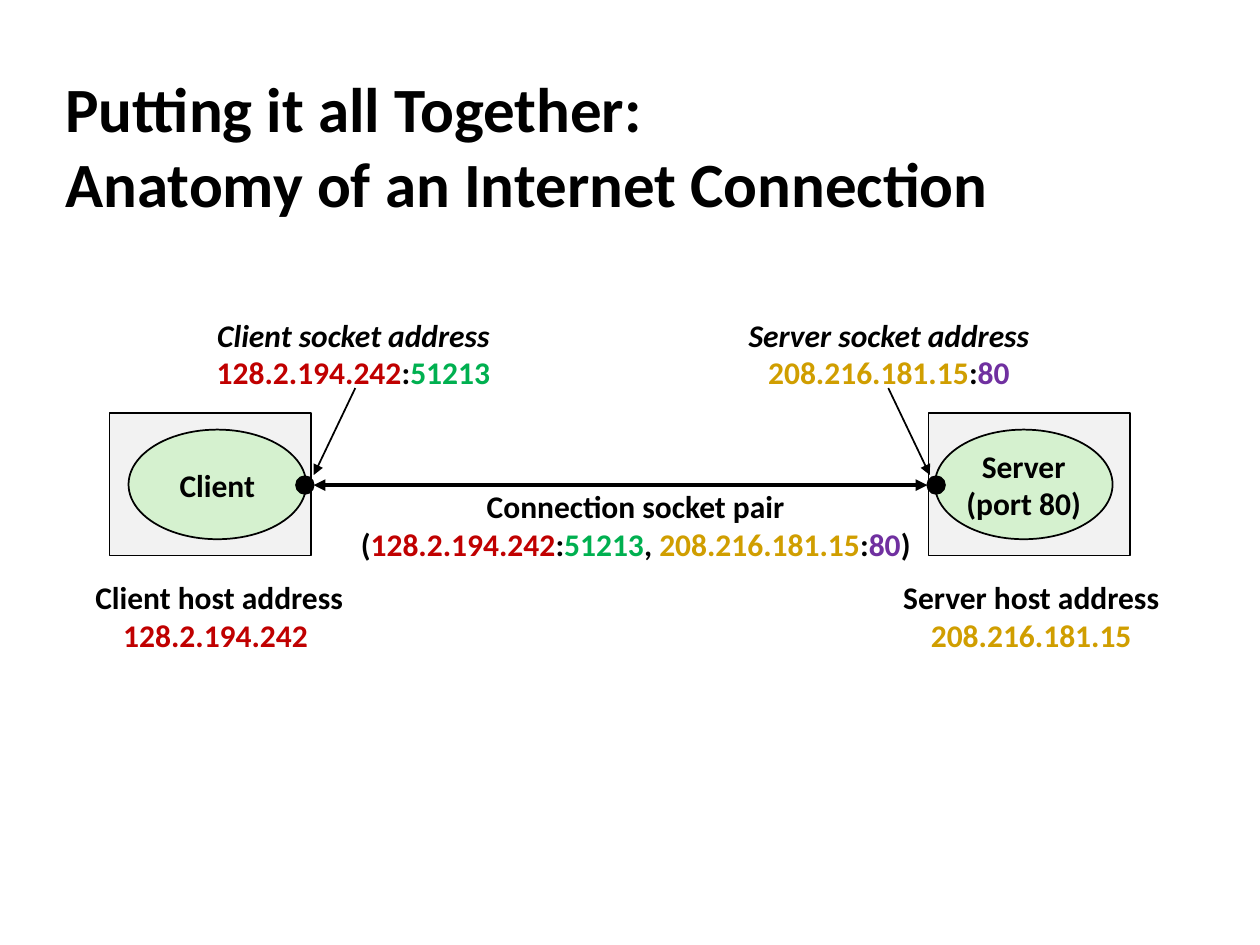
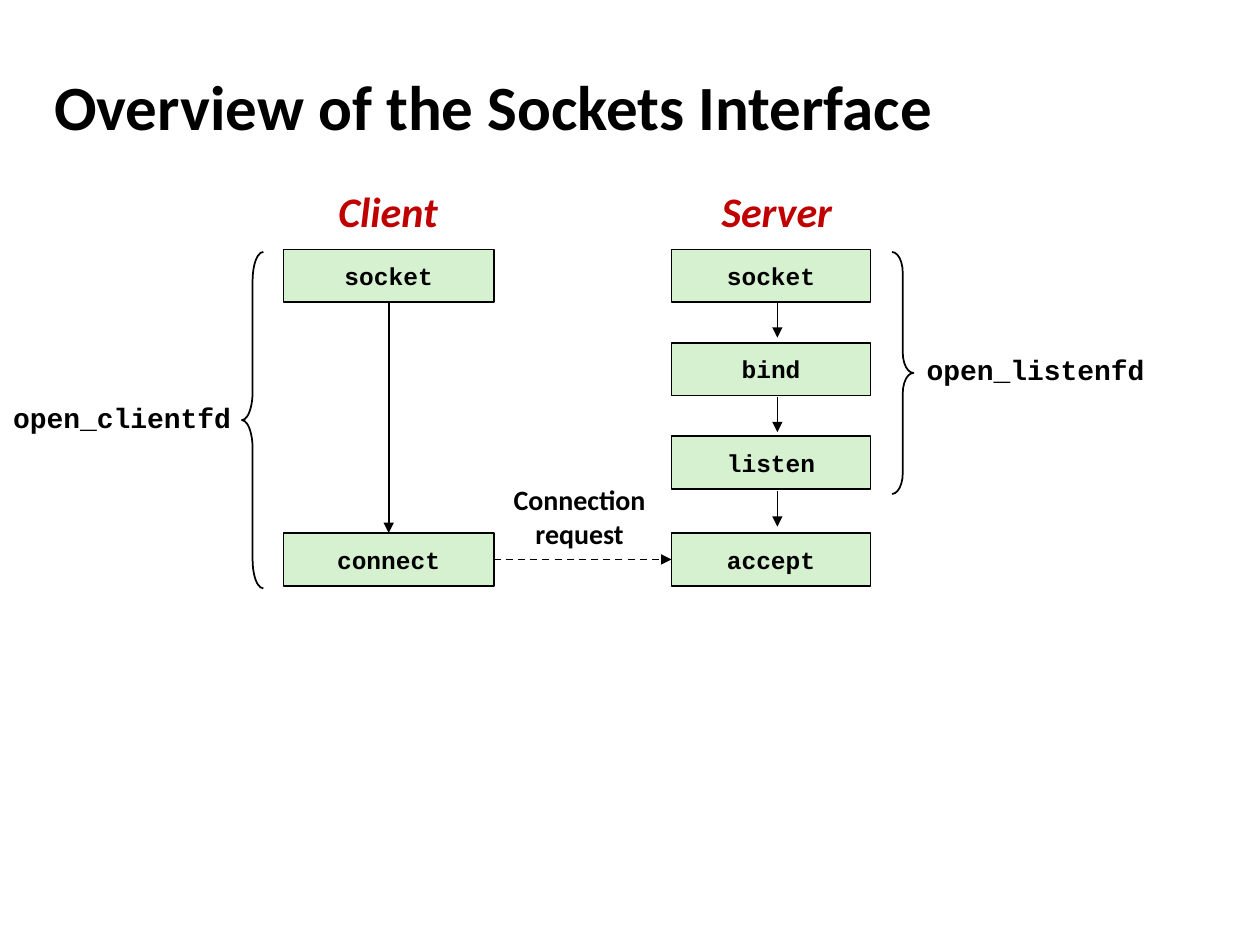
from dataclasses import dataclass

from lxml import etree
from pptx import Presentation
from pptx.dml.color import RGBColor
from pptx.enum.dml import MSO_LINE
from pptx.enum.shapes import MSO_CONNECTOR, MSO_SHAPE
from pptx.enum.text import MSO_ANCHOR, MSO_AUTO_SIZE, PP_ALIGN
from pptx.oxml.ns import qn
from pptx.util import Inches, Pt

RECTANGLE = MSO_SHAPE.RECTANGLE
OVAL = MSO_SHAPE.OVAL
LEFT_BRACE = MSO_SHAPE.LEFT_BRACE
RIGHT_BRACE = MSO_SHAPE.RIGHT_BRACE
STRAIGHT = MSO_CONNECTOR.STRAIGHT
DASH = MSO_LINE.DASH
MIDDLE = MSO_ANCHOR.MIDDLE
NO_AUTO_SIZE = MSO_AUTO_SIZE.NONE
CENTER = PP_ALIGN.CENTER
LEFT = PP_ALIGN.LEFT
BOTTOM_SIDE, RIGHT_SIDE, TOP_SIDE, LEFT_SIDE = 2, 3, 0, 1


@dataclass(frozen=True)
class Theme:
    black: str = "000000"
    host: str = "F2F2F2"
    process: str = "D5F1CF"
    red: str = "C00000"
    green: str = "00B050"
    gold: str = "D09E00"
    purple: str = "7030A0"
    sans: str = "Calibri"
    mono: str = "Courier New"
    title: int = 36
    heading: int = 24
    label: int = 18
    note: int = 16
    code: int = 14
    thin: float = 1
    thick: float = 2.25


theme = Theme()


def add_box(slide, kind, bounds, lines=(), fill=None, size=theme.label, font=theme.sans, italic_lines=0):
    bounds = [Inches(length) for length in bounds]
    if kind is None:
        shape = slide.shapes.add_textbox(*bounds)
    else:
        shape = slide.shapes.add_shape(kind, *bounds)
        shape.shadow.inherit = False
        shape.line.color.rgb = RGBColor.from_string(theme.black)
        shape.line.width = Pt(theme.thin)
        if fill:
            shape.fill.solid()
            shape.fill.fore_color.rgb = RGBColor.from_string(fill)
        else:
            shape.fill.background()
    text_frame = shape.text_frame
    text_frame.word_wrap = False
    text_frame.vertical_anchor = MIDDLE
    for index, line in enumerate(lines):
        paragraph = text_frame.add_paragraph() if index else text_frame.paragraphs[0]
        paragraph.alignment = CENTER
        paragraph.font.name = font
        paragraph.font.size = Pt(size)
        paragraph.font.bold = True
        paragraph.font.italic = index < italic_lines
        for text, color in line:
            run = paragraph.add_run()
            run.text = text
            run.font.color.rgb = RGBColor.from_string(color)
    return shape


def add_arrow(slide, start, end, width=theme.thin, both_ends=False):
    connector = slide.shapes.add_connector(STRAIGHT, *[Inches(length) for length in (*start, *end)])
    connector.line.color.rgb = RGBColor.from_string(theme.black)
    connector.line.width = Pt(width)
    outline = connector.line._get_or_add_ln()
    for tag in ("a:headEnd", "a:tailEnd") if both_ends else ("a:tailEnd",):
        etree.SubElement(outline, qn(tag), type="triangle")
    etree.SubElement(connector._element.spPr, qn("a:effectLst"))
    return connector


presentation = Presentation()
presentation.slide_width = Inches(10)
presentation.slide_height = Inches(7.5)

titles = [
    ("Putting it all Together:\vAnatomy of an Internet Connection", (0.42, 0.55, 8.8, 1.2)),
    ("Overview of the Sockets Interface", (0.33, 0.42, 8.3, 0.83)),
]
slides = []
for title_text, bounds in titles:
    slide = presentation.slides.add_slide(presentation.slide_layouts[5])
    title = slide.shapes.title
    title.left, title.top, title.width, title.height = [Inches(length) for length in bounds]
    title.text_frame.text = title_text
    title.text_frame.auto_size = NO_AUTO_SIZE
    title.text_frame.vertical_anchor = MIDDLE
    paragraph = title.text_frame.paragraphs[0]
    paragraph.alignment = LEFT
    paragraph.font.name = theme.sans
    paragraph.font.size = Pt(theme.title)
    paragraph.font.bold = True
    paragraph.font.color.rgb = RGBColor.from_string(theme.black)
    slides.append(slide)
connection_slide, interface_slide = slides

colon = (":", theme.black)
client_address = ("128.2.194.242", theme.red)
server_address = ("208.216.181.15", theme.gold)
client_socket = [client_address, colon, ("51213", theme.green)]
server_socket = [server_address, colon, ("80", theme.purple)]

add_arrow(connection_slide, (2.49, 3.85), (7.36, 3.85), theme.thick, both_ends=True)
endpoints = [
    ("Client", ["Client"], client_socket, [("128.2.194.242 ", theme.red)],
     0.87, 1.02, 2.35, 1.61, 2.39, 0.65, 2.18, (2.82, 3.08), (2.49, 3.77)),
    ("Server", ["Server", "(port 80)"], server_socket, [server_address],
     7.37, 7.42, 7.36, 5.64, 2.83, 7.06, 2.25, (7.05, 3.08), (7.38, 3.77)),
]
for (role, process_lines, socket_runs, host_runs, host_left, process_left, dot_left,
     socket_left, socket_width, address_left, address_width, pointer_start, pointer_end) in endpoints:
    add_box(connection_slide, RECTANGLE, (host_left, 3.28, 1.6, 1.13), fill=theme.host)
    add_box(connection_slide, OVAL, (process_left, 3.41, 1.41, 0.87),
            [[(line, theme.black)] for line in process_lines], theme.process)
    add_box(connection_slide, OVAL, (dot_left, 3.78, 0.14, 0.14), fill=theme.black)
    add_box(connection_slide, None, (socket_left, 2.45, socket_width, 0.71),
            [[(f"{role} socket address", theme.black)], socket_runs], italic_lines=1)
    add_box(connection_slide, None, (address_left, 4.53, address_width, 0.71),
            [[(f"{role} host address", theme.black)], host_runs])
    add_arrow(connection_slide, pointer_start, pointer_end)

socket_pair = [("(", theme.black), *client_socket, (", ", theme.black), *server_socket, (")", theme.black)]
add_box(connection_slide, None, (2.74, 3.81, 4.61, 0.71),
        [[("Connection socket pair", theme.black)], socket_pair])

columns = [
    ("Client", 2.58, 1, 2.25, 1.67, [("socket", 1.98), ("connect", 4.23)]),
    ("Server", 5.62, 1.09, 5.33, 1.58,
     [("socket", 1.98), ("bind", 2.72), ("listen", 3.46), ("accept", 4.23)]),
]
calls = {}
for role, heading_left, heading_width, call_left, call_width, steps in columns:
    add_box(interface_slide, None, (heading_left, 1.42, heading_width, 0.5),
            [[(role, theme.red)]], size=theme.heading, italic_lines=1)
    for name, top in steps:
        calls[role, name] = add_box(interface_slide, RECTANGLE, (call_left, top, call_width, 0.42),
                                    [[(name, theme.black)]], theme.process, theme.code, theme.mono)

for step in range(3):
    top = 2.35 + 0.75 * step
    add_arrow(interface_slide, (6.17, top + 0.05), (6.17, top + 0.33))

client_flow = add_arrow(interface_slide, (3.08, 2.4), (3.08, 4.23))
client_flow.begin_connect(calls["Client", "socket"], BOTTOM_SIDE)
client_flow.end_connect(calls["Client", "connect"], TOP_SIDE)

request = add_arrow(interface_slide, (3.92, 4.44), (5.33, 4.44))
request.line.dash_style = DASH
request.begin_connect(calls["Client", "connect"], RIGHT_SIDE)
request.end_connect(calls["Server", "accept"], LEFT_SIDE)
add_box(interface_slide, None, (3.97, 3.78, 1.26, 0.64),
        [[("Connection", theme.black)], [("request", theme.black)]], size=theme.note)

wrappers = [
    ("open_listenfd", RIGHT_BRACE, 7.08, 1.92, 0.96, 7.25, 2.75),
    ("open_clientfd", LEFT_BRACE, 1.92, 2.67, 1.33, 0, 3.13),
]
for name, kind, brace_left, brace_height, curve, name_left, name_top in wrappers:
    brace = add_box(interface_slide, kind, (brace_left, 2, 0.17, brace_height))
    brace.adjustments[0] = curve
    add_box(interface_slide, None, (name_left, name_top, 1.94, 0.37),
            [[(name, theme.black)]], size=theme.note, font=theme.mono)

presentation.save("out.pptx")
